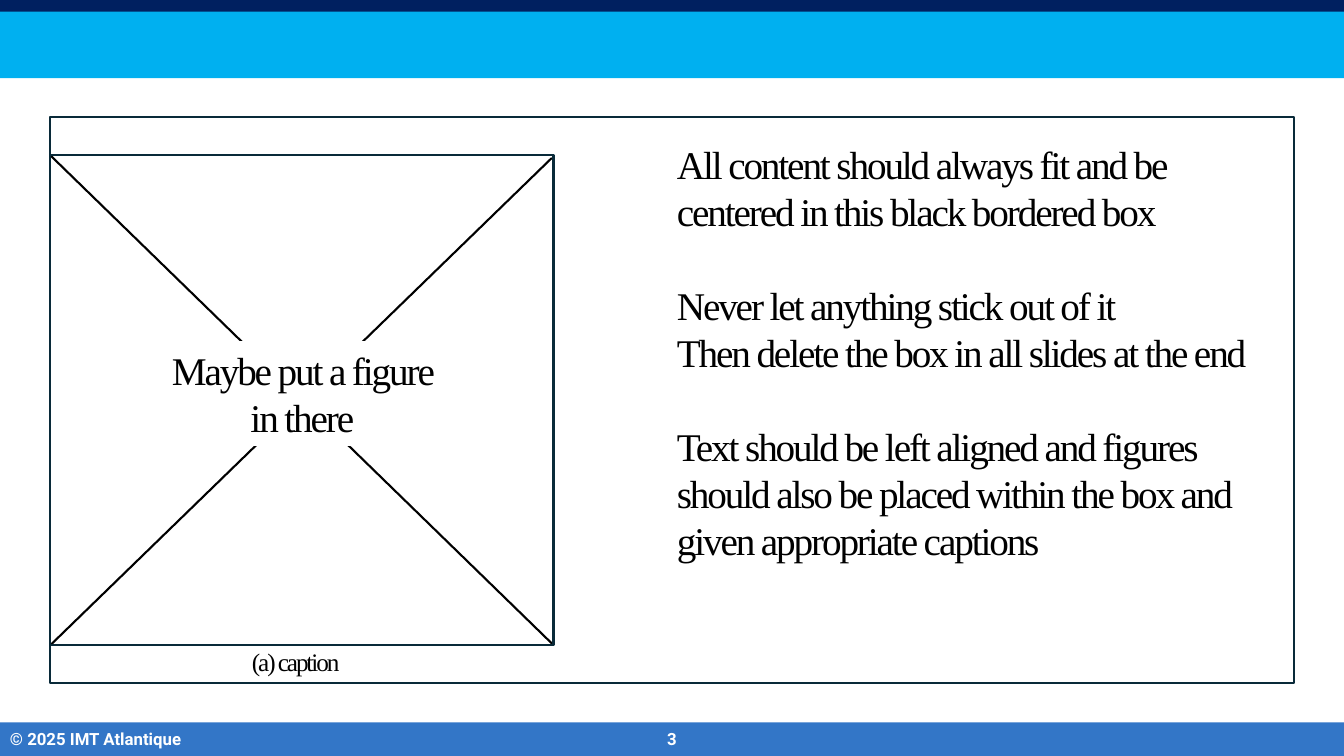
from lxml import etree
from pptx import Presentation
from pptx.dml.color import RGBColor
from pptx.enum.shapes import MSO_CONNECTOR, MSO_SHAPE
from pptx.enum.text import MSO_ANCHOR as ANCHOR, PP_ALIGN as ALIGN
from pptx.oxml.ns import qn
from pptx.util import Inches, Pt

WHITE = RGBColor(0xFF, 0xFF, 0xFF)
BLACK = RGBColor(0x00, 0x00, 0x00)
FRAME = RGBColor(0x09, 0x2A, 0x39)
NAVY = RGBColor(0x00, 0x20, 0x60)
SKY = RGBColor(0x00, 0xB0, 0xF0)
BLUE = RGBColor(0x33, 0x76, 0xC7)

COLS, ROWS = 160, 90
prs = Presentation()
prs.slide_width, prs.slide_height = Inches(13.33), Inches(7.5)
CW, RH = prs.slide_width / COLS, prs.slide_height / ROWS
s = prs.slides.add_slide(prs.slide_layouts[6])


def add_box(col, row, cols, rows, fill=None, line=None):
    sp = s.shapes.add_shape(MSO_SHAPE.RECTANGLE, int(col * CW), int(row * RH),
                            int(cols * CW), int(rows * RH))
    sp.shadow.inherit = False
    if fill is None:
        sp.fill.background()
    else:
        sp.fill.solid()
        sp.fill.fore_color.rgb = fill
    if line is None:
        sp.line.fill.background()
    else:
        sp.line.color.rgb = line
        sp.line.width = Pt(1.5)


def add_text(col, row, cols, rows, lines, size, align, footer=False):
    sp = s.shapes.add_textbox(int(col * CW), int(row * RH), int(cols * CW), int(rows * RH))
    tf = sp.text_frame
    tf.word_wrap = True
    tf.vertical_anchor = ANCHOR.MIDDLE if footer else ANCHOR.TOP
    for i, (text, gap) in enumerate(lines):
        p = tf.paragraphs[0] if i == 0 else tf.add_paragraph()
        p.text = text
        p.alignment = align
        if gap:
            p.space_before = Pt(gap)
        r = p.runs[0]
        r.font.size = Pt(size)
        r.font.bold = footer
        r.font.name = "Roboto" if footer else "Times New Roman"
        r.font.color.rgb = WHITE if footer else BLACK
        if not footer:
            p.line_spacing = Pt(1.2 * size)
            r.font._element.set("spc", "-150")


add_box(6, 13.9, 148, 67.4, line=FRAME)
add_box(0, 86, COLS, 4, fill=BLUE)
add_box(0, 1.1, COLS, 8.2, fill=SKY)
add_box(0, 0, COLS, 1.4, fill=NAVY)
add_text(0, 86, COLS, 4, [("3", 0)], 12, ALIGN.CENTER, footer=True)
add_text(0, 86, 29, 4, [("© 2025 IMT Atlantique", 0)], 12, ALIGN.LEFT, footer=True)

GAP = 33.6
add_text(79.4, 16.1, 73.2, 63.4, [
    ("All content should always fit and be centered in this black bordered box", 0),
    ("Never let anything stick out of it", GAP),
    ("Then delete the box in all slides at the end", 0),
    ("Text should be left aligned and figures should also be placed within the box "
     "and given appropriate captions", GAP),
], 28, ALIGN.LEFT)

LEFT, TOP, RIGHT, BOTTOM = 6, 18.5, 65.9, 76.8
for x1, y1, x2, y2 in [(LEFT, TOP, RIGHT, BOTTOM), (RIGHT - 0.2, TOP + 0.3, LEFT, BOTTOM)]:
    cx = s.shapes.add_connector(MSO_CONNECTOR.STRAIGHT, int(x1 * CW), int(y1 * RH),
                                int(x2 * CW), int(y2 * RH))
    cx.line.color.rgb = BLACK
    cx.line.width = Pt(1.5)
    etree.SubElement(cx._element.spPr, qn("a:effectLst"))
add_box(LEFT, TOP, RIGHT - LEFT, BOTTOM - TOP, line=FRAME)
add_box(21.8, 40.6, 28.3, 12.5, fill=WHITE)
add_text(18, 40.6, 36, 12.5, [("Maybe put a figure in there", 0)], 28, ALIGN.CENTER)
add_text(27.7, 76.4, 15, 4.8, [("(a) caption", 0)], 18, ALIGN.CENTER)

prs.save("out.pptx")
